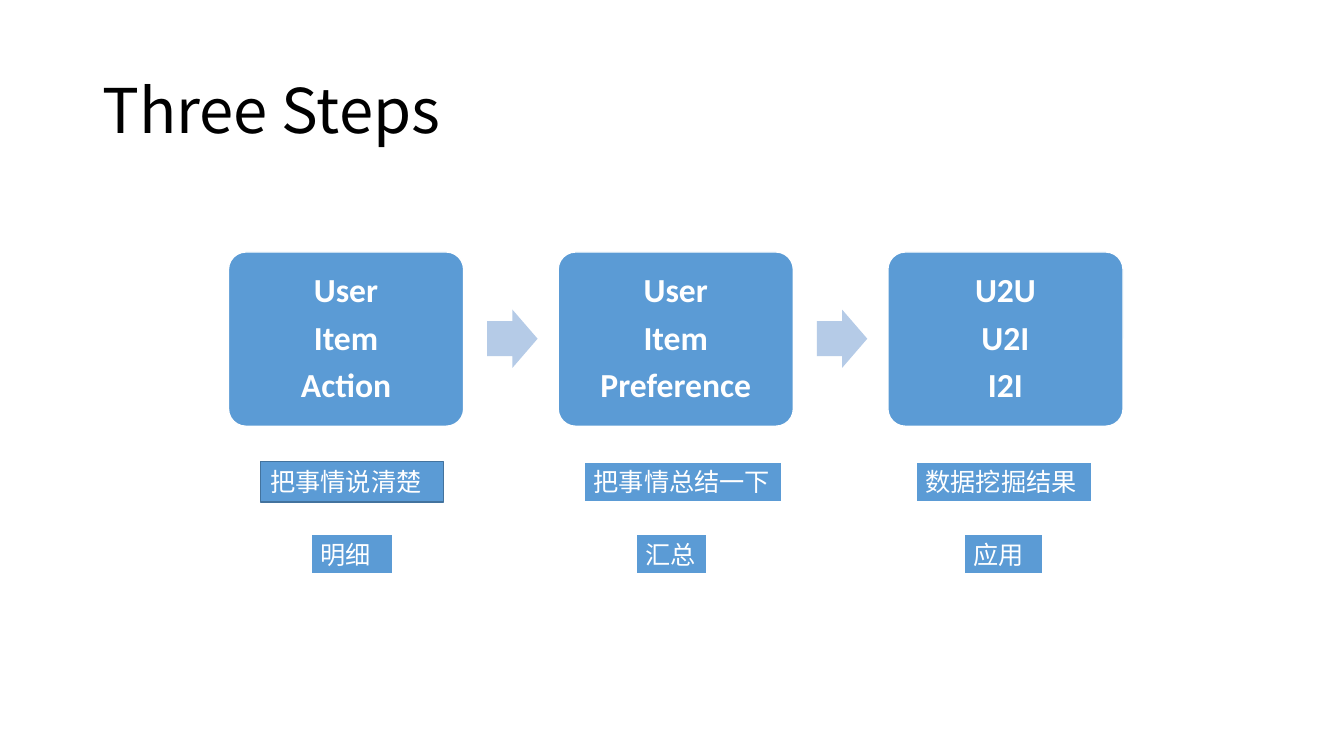
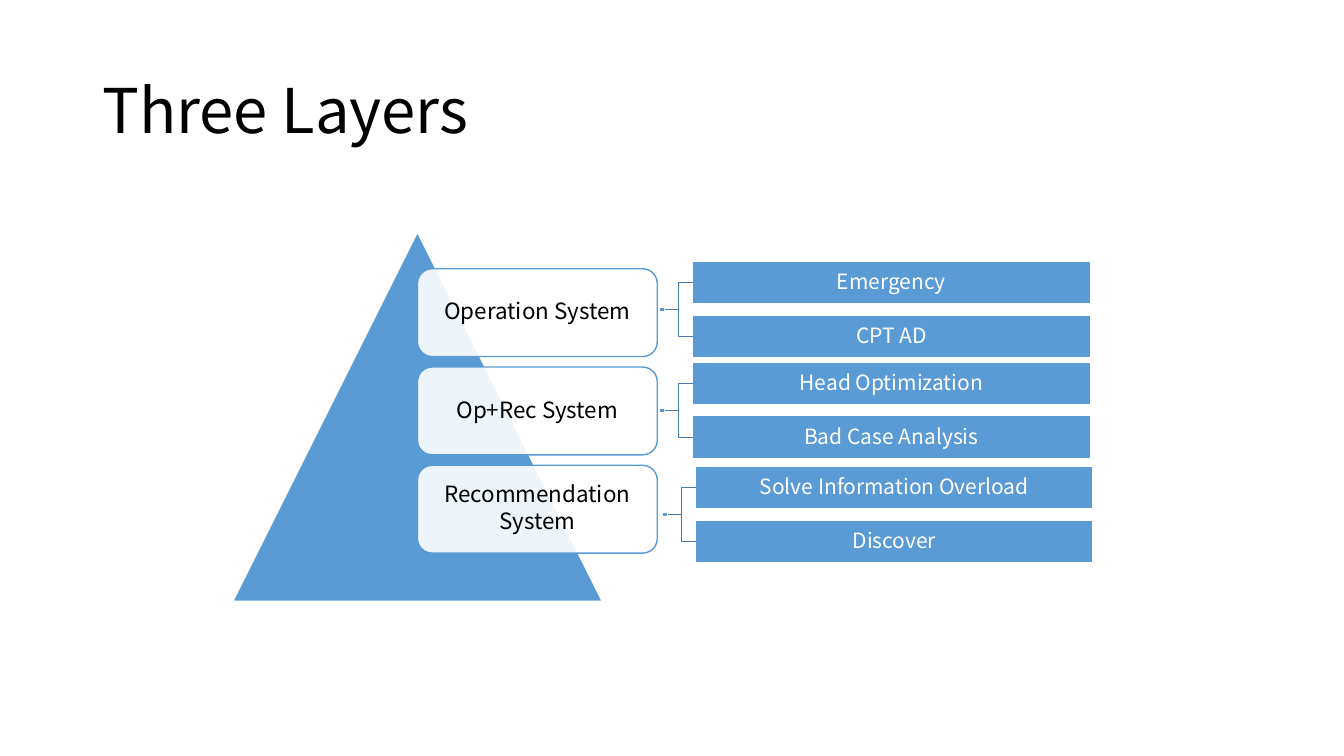
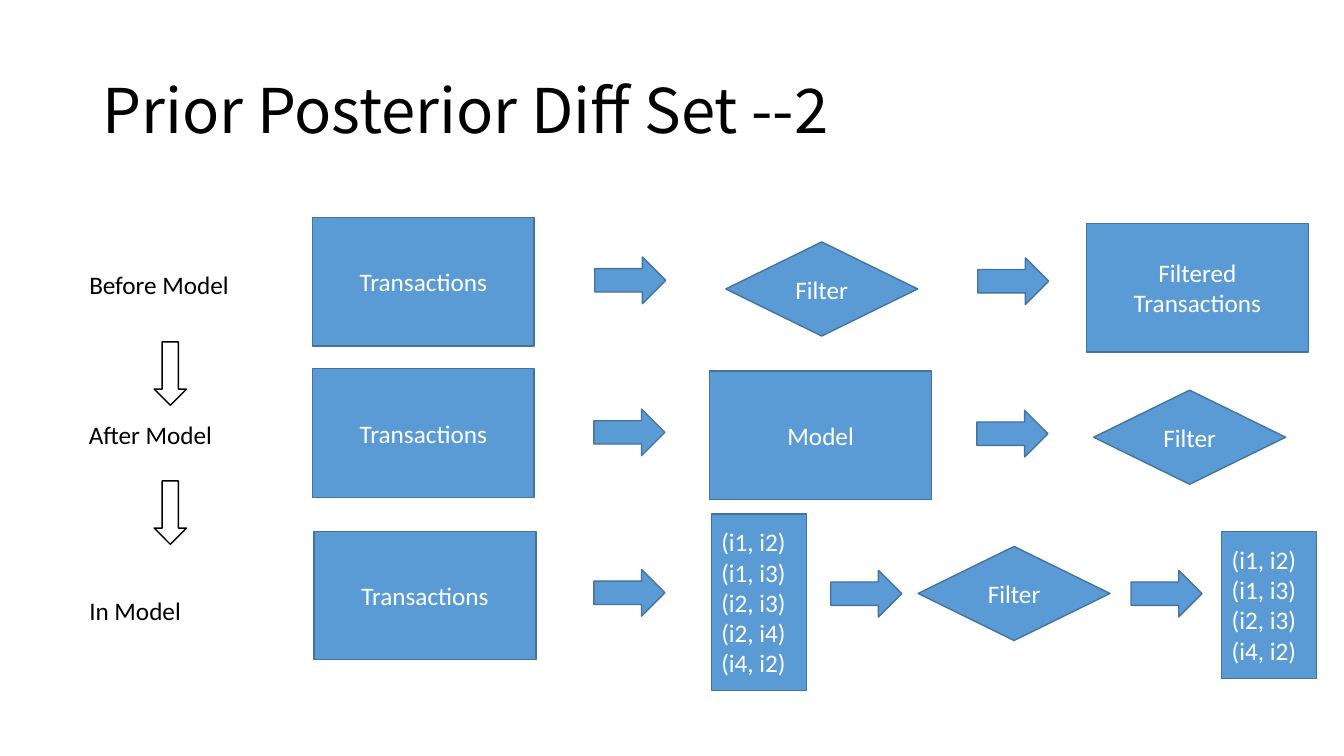
"""Build three slides on the steps, layers and filters of a recommender."""
from lxml import etree
from pptx import Presentation
from pptx import util as u
from pptx.dml import color
from pptx.enum import shapes, text
from pptx.oxml import ns

rgb = color.RGBColor.from_string
BLUE, PALE, EDGE, LINK = "5B9BD5", "B5CBE7", "43739E", "497CAB"
WHITE, BLACK = "FFFFFF", "000000"
SANS, CJK = "Calibri", "Noto Sans CJK SC"
KIND = shapes.MSO_SHAPE
CENTER, LEFT = text.PP_ALIGN.CENTER, text.PP_ALIGN.LEFT
MIDDLE, TOP = text.MSO_ANCHOR.MIDDLE, text.MSO_ANCHOR.TOP

deck = Presentation()
deck.slide_width, deck.slide_height = u.Emu(12192000), u.Inches(7.5)
column, row = deck.slide_width / 160, deck.slide_height / 90


def place(page, kind, left, top, width, height, fill=None, edge=None, weight=1):
    """Add a shape, or a text box when kind is None, on the 160 by 90 grid."""
    area = [u.Emu(round(n * unit)) for n, unit in
            ((left, column), (top, row), (width, column), (height, row))]
    if kind is None:
        return page.shapes.add_textbox(*area)
    box = page.shapes.add_shape(kind, *area)
    box.shadow.inherit = False
    if fill:
        box.fill.solid()
        box.fill.fore_color.rgb = rgb(fill)
    else:
        box.fill.background()
    if edge:
        box.line.color.rgb = rgb(edge)
        box.line.width = u.Pt(weight)
    else:
        box.line.fill.background()
    return box


def write(box, words, size=18, face=SANS, ink=WHITE, align=CENTER, anchor=MIDDLE,
          bold=False, spacing=1.0, after=0, inset=None):
    """Fill a box with one paragraph per line of words."""
    frame = box.text_frame
    frame.word_wrap, frame.vertical_anchor = True, anchor
    if inset is not None:
        frame.margin_left = frame.margin_right = u.Inches(inset)
        frame.margin_top = frame.margin_bottom = u.Inches(inset)
    frame.text = words
    for para in frame.paragraphs:
        para.alignment, para.line_spacing, para.space_after = align, spacing, u.Pt(after)
        para.font.size, para.font.name, para.font.bold = u.Pt(size), face, bold
        para.font.color.rgb = rgb(ink)


pages = []
for title in ("Three Steps", "Three Layers", "Prior Posterior Diff Set --2"):
    page = deck.slides.add_slide(deck.slide_layouts[6])
    write(place(page, None, 11, 4.8, 138, 17.4), title, 44, CJK, BLACK, LEFT, spacing=0.9)
    pages.append(page)
steps, layers, filters = pages

cards = ("User\nItem\nAction", "User\nItem\nPreference", "U2U\nU2I\nI2I")
for index, words in enumerate(cards):
    left = 27.2 + 39.25 * index
    card = place(steps, KIND.ROUNDED_RECTANGLE, left, 30, 28, 20.75, BLUE, WHITE)
    card.adjustments[0] = 0.1
    write(card, words, 24, bold=True, spacing=0.9, after=8, inset=0.15)
    if index < len(cards) - 1:
        arrow = place(steps, KIND.RIGHT_ARROW, left + 30.8, 36.85, 6, 6.95, PALE)
        arrow.adjustments[0] = 0.6

for words, left, top, width, edge, weight in (
        ("把事情说清楚", 31, 54.95, 21.8, EDGE, 1),
        ("把事情总结一下", 69.5, 54.95, 23.6, WHITE, 1.5),
        ("数据挖掘结果", 109, 54.95, 21, WHITE, 1.5),
        ("明细", 37, 63.6, 9.8, WHITE, 1.5),
        ("汇总", 75.7, 63.6, 8.5, WHITE, 1.5),
        ("应用", 114.7, 63.6, 9.5, WHITE, 1.5)):
    label = place(steps, KIND.RECTANGLE, left, top, width, 4.8, BLUE, edge, weight)
    write(label, words, face=CJK, align=LEFT, anchor=TOP)

place(layers, KIND.ISOSCELES_TRIANGLE, 27.7, 27.6, 44, 44, BLUE, WHITE)
for index, words in enumerate(("Operation System", "Op+Rec System", "Recommendation\nSystem")):
    layer = place(layers, KIND.ROUNDED_RECTANGLE, 49.7, 32 + 11.7 * index, 28.55, 10.45,
                  WHITE, BLUE)
    tint = layer.fill._xPr.find(".//" + ns.qn("a:srgbClr"))
    etree.SubElement(tint, ns.qn("a:alpha"), val="90000")
    write(layer, words, 16, CJK, BLACK, spacing=0.9, after=2, inset=0.11)

bar_height, bar_step = 5.12, 6.4
for left, top, tasks in (
        (78.5, 31.1, ("Emergency", "CPT AD")),
        (78.5, 43.1, ("Head Optimization", "Bad Case Analysis")),
        (78.85, 55.5, ("Solve Information Overload", "Discover"))):
    stem = top + (bar_step + bar_height) / 2
    for index, words in enumerate(tasks):
        bar_top = top + bar_step * index
        bar = place(layers, KIND.RECTANGLE, left + 3.95, bar_top, 47.35, bar_height, BLUE, WHITE)
        write(bar, words, 15, CJK, spacing=0.9, after=2, inset=0.02)
        link = layers.shapes.add_connector(
            shapes.MSO_CONNECTOR.ELBOW,
            round((left + 0.6) * column), round(stem * row),
            round((left + 3.95) * column), round((bar_top + bar_height / 2) * row))
        link.line.color.rgb, link.line.width = rgb(LINK), u.Pt(1)
        etree.SubElement(link._element.spPr, ns.qn("a:effectLst"))
    place(layers, KIND.RECTANGLE, left, stem - 0.3, 0.6, 0.6, BLUE, WHITE)

for words, left, top in (("Before Model", 9.45, 31.45), ("After Model", 9.4, 49.3),
                         ("In Model", 9.45, 70.3)):
    write(place(filters, None, left, top, 19.2, 4.8), words, ink=BLACK, align=LEFT, anchor=TOP)
for top in (40.7, 57.25):
    place(filters, KIND.DOWN_ARROW, 18.35, top, 3.85, 7.55, edge=BLACK)

for left, top in ((70.8, 30.6), (116.4, 30.7), (70.7, 48.7), (116.3, 48.85),
                  (70.7, 67.8), (98.9, 67.9), (134.65, 67.9)):
    place(filters, KIND.RIGHT_ARROW, left, top, 8.45, 5.55, BLUE, EDGE)
for words, left, top in (("Transactions", 37.2, 25.9), ("Filtered Transactions", 129.35, 26.6),
                         ("Transactions", 37.2, 43.9), ("Model", 84.5, 44.15),
                         ("Transactions", 37.4, 63.25)):
    write(place(filters, KIND.RECTANGLE, left, top, 26.4, 15.3, BLUE, EDGE), words)
for left, top in ((86.4, 28.8), (130.2, 46.45), (109.3, 65.05)):
    write(place(filters, KIND.FLOWCHART_DECISION, left, top, 22.85, 11.2, BLUE, EDGE), "Filter")
for words, left, top, height in (
        ("(i1, i2)\n(i1, i3)\n(i2, i3)\n(i2, i4)\n(i4, i2)", 84.7, 61.2, 21),
        ("(i1, i2)\n(i1, i3)\n(i2, i3)\n(i4, i2)", 145.45, 63.25, 17.5)):
    pairs = place(filters, KIND.RECTANGLE, left, top, 11.3, height, BLUE, EDGE)
    write(pairs, words, align=LEFT)

deck.save("out.pptx")
